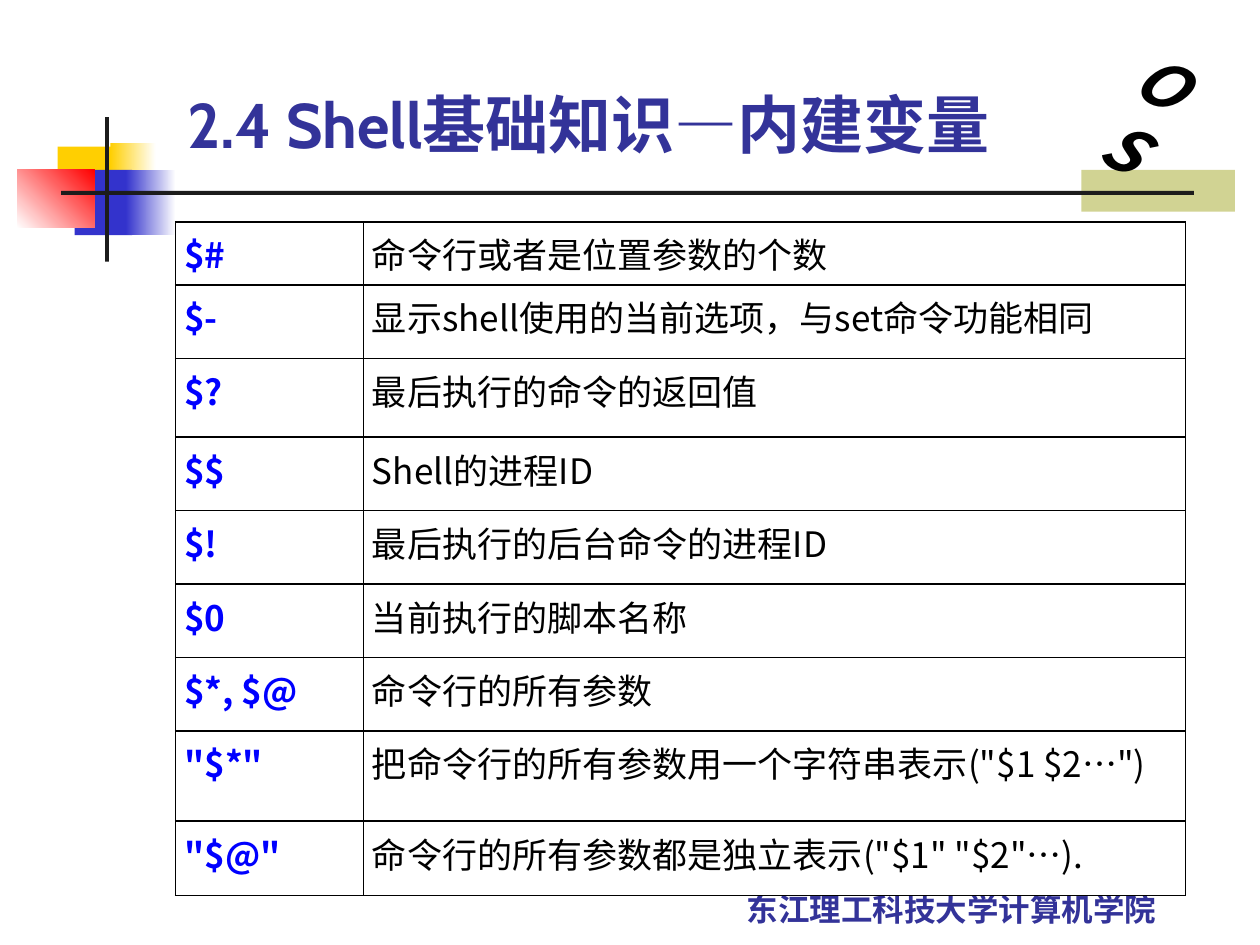
"""Build a slide that lists the built-in variables of the shell."""
from lxml import etree
from pptx import Presentation, util as u
from pptx.dml.color import RGBColor
from pptx.enum import shapes, text
from pptx.oxml.ns import qn

TITLE = "2.4 Shell基础知识—内建变量"
FOOTER = "东江理工科技大学计算机学院 "
BADGE = "OS"
VARIABLES = [
    ("$#", "命令行或者是位置参数的个数", 36),
    ("$-", "显示shell使用的当前选项，与set命令功能相同", 42),
    ("$?", "最后执行的命令的返回值", 45),
    ("$$", "Shell的进程ID", 42),
    ("$!", "最后执行的后台命令的进程ID", 42),
    ("$0", "当前执行的脚本名称", 42),
    ("$*, $@", "命令行的所有参数", 42),
    ('"$*"', '把命令行的所有参数用一个字符串表示("$1 $2…")', 51.5),
    ('"$@"', '命令行的所有参数都是独立表示("$1" "$2"…).', 42.5),
]
THEME = {
    "olive": "D1D393", "yellow": "FFCF01", "blue": "3333CC", "red": "FF0000",
    "white": "FFFFFF", "bar": "1C1C1C", "heading": "333399", "key": "0000FF",
    "black": "000000", "title_font": "Cabin", "font": "Noto Sans CJK SC",
    "badge_font": "Noto Sans CJK JP", "title_size": 36, "badge_size": 36,
    "footer_size": 18, "table_size": 20, "border": 0.96,
}
DECOR = [
    ((617.9, 97, 87.8, 24), ["olive"], 0),
    ((33, 83.8, 34.5, 37.2), ["yellow"], 0),
    ((63, 81.6, 26, 37.4), ["yellow", "white"], 0),
    ((42.6, 97, 33, 37.4), ["blue"], 0),
    ((72, 97, 28.5, 37.4), ["blue", "white"], 0),
    ((10, 97, 44, 33.3), ["white", "red"], 45),
    ((60, 67, 2.3, 82.6), ["bar"], 0),
    ((34.9, 109.1, 647.3, 2.3), ["bar"], 0),
]
TABLE_LEFT, TABLE_TOP = 100.3, 126.8
COLUMNS = (107.3, 470)


def color(name):
    """Return a theme colour."""
    return RGBColor.from_string(THEME[name])


def points(values):
    """Turn numbers into lengths in points."""
    return [u.Pt(value) for value in values]


def write(frame, words, size, tint, font="font", bold=False, italic=False,
          align=text.PP_ALIGN.LEFT, spacing=None):
    """Put one formatted span into a text frame."""
    para = frame.paragraphs[0]
    para.alignment = align
    span = para.add_run()
    span.text = words
    span.font.size = u.Pt(THEME[size])
    span.font.bold, span.font.italic = bold, italic
    span.font.color.rgb = color(tint)
    span.font.name = THEME[font]
    props = span.font._element
    east = etree.Element(qn("a:ea"), typeface=THEME["font"])
    props.find(qn("a:latin")).addnext(east)
    if spacing is not None:
        props.set("spc", str(round(spacing * 100)))


def add_decor(page, place, colors, angle):
    """Draw a plain or gradient rectangle."""
    shape = page.shapes.add_shape(shapes.MSO_SHAPE.RECTANGLE, *points(place))
    shape.shadow.inherit = False
    shape.line.fill.background()
    if len(colors) == 1:
        shape.fill.solid()
        shape.fill.fore_color.rgb = color(colors[0])
        return
    shape.fill.gradient()
    shape.fill.gradient_angle = angle
    for position, (stop, name) in enumerate(zip(shape.fill.gradient_stops, colors)):
        stop.position = position
        stop.color.rgb = color(name)


def add_text(page, place, words, anchor=text.MSO_ANCHOR.BOTTOM, wrap=True, **style):
    """Add a text box and return it."""
    box = page.shapes.add_textbox(*points(place))
    box.text_frame.word_wrap = wrap
    box.text_frame.vertical_anchor = anchor
    write(box.text_frame, words, **style)
    return box


def add_borders(cell):
    """Outline a table cell on all four sides."""
    props = cell._tc.get_or_add_tcPr()
    for index, side in enumerate(("lnL", "lnR", "lnT", "lnB")):
        line = etree.Element(qn(f"a:{side}"), w=str(u.Pt(THEME["border"])))
        fill = etree.SubElement(line, qn("a:solidFill"))
        etree.SubElement(fill, qn("a:srgbClr"), val=THEME["black"])
        props.insert(index, line)


def add_variables(page):
    """Add the table of variables."""
    height = sum(row[2] for row in VARIABLES)
    place = points((TABLE_LEFT, TABLE_TOP, sum(COLUMNS), height))
    table = page.shapes.add_table(len(VARIABLES), len(COLUMNS), *place).table
    table.first_row = table.horz_banding = False
    for column, width in zip(table.columns, COLUMNS):
        column.width = u.Pt(width)
    for row, (name, meaning, height) in zip(table.rows, VARIABLES):
        row.height = u.Pt(height)
        for cell, words, tint, bold in zip(
                row.cells, (name, meaning), ("key", "black"), (True, False)):
            cell.margin_left = cell.margin_right = u.Pt(5)
            cell.margin_top = cell.margin_bottom = u.Pt(3.6)
            cell.fill.solid()
            cell.fill.fore_color.rgb = color("white")
            write(cell.text_frame, words, "table_size", tint, bold=bold,
                  align=text.PP_ALIGN.JUSTIFY)
            add_borders(cell)


def main():
    """Build and save the deck."""
    deck = Presentation()
    deck.slide_width, deck.slide_height = points((720, 540))
    page = deck.slides.add_slide(deck.slide_layouts[6])
    for place, colors, angle in DECOR:
        add_decor(page, place, colors, angle)
    add_text(page, (383.8, 491.8, 324, 41.8), FOOTER, size="footer_size",
             tint="heading", bold=True, align=text.PP_ALIGN.CENTER)
    badge = add_text(page, (637.9, 20.2, 46.8, 61.2), BADGE, size="badge_size",
                     tint="black", font="badge_font", bold=True, italic=True,
                     anchor=text.MSO_ANCHOR.TOP, wrap=False,
                     align=text.PP_ALIGN.CENTER, spacing=-1.8)
    badge.rotation = 29.3
    add_text(page, (100.1, 36, 613.4, 59.8), TITLE, size="title_size",
             tint="heading", font="title_font", bold=True)
    add_variables(page)
    deck.save("out.pptx")


if __name__ == "__main__":
    main()
